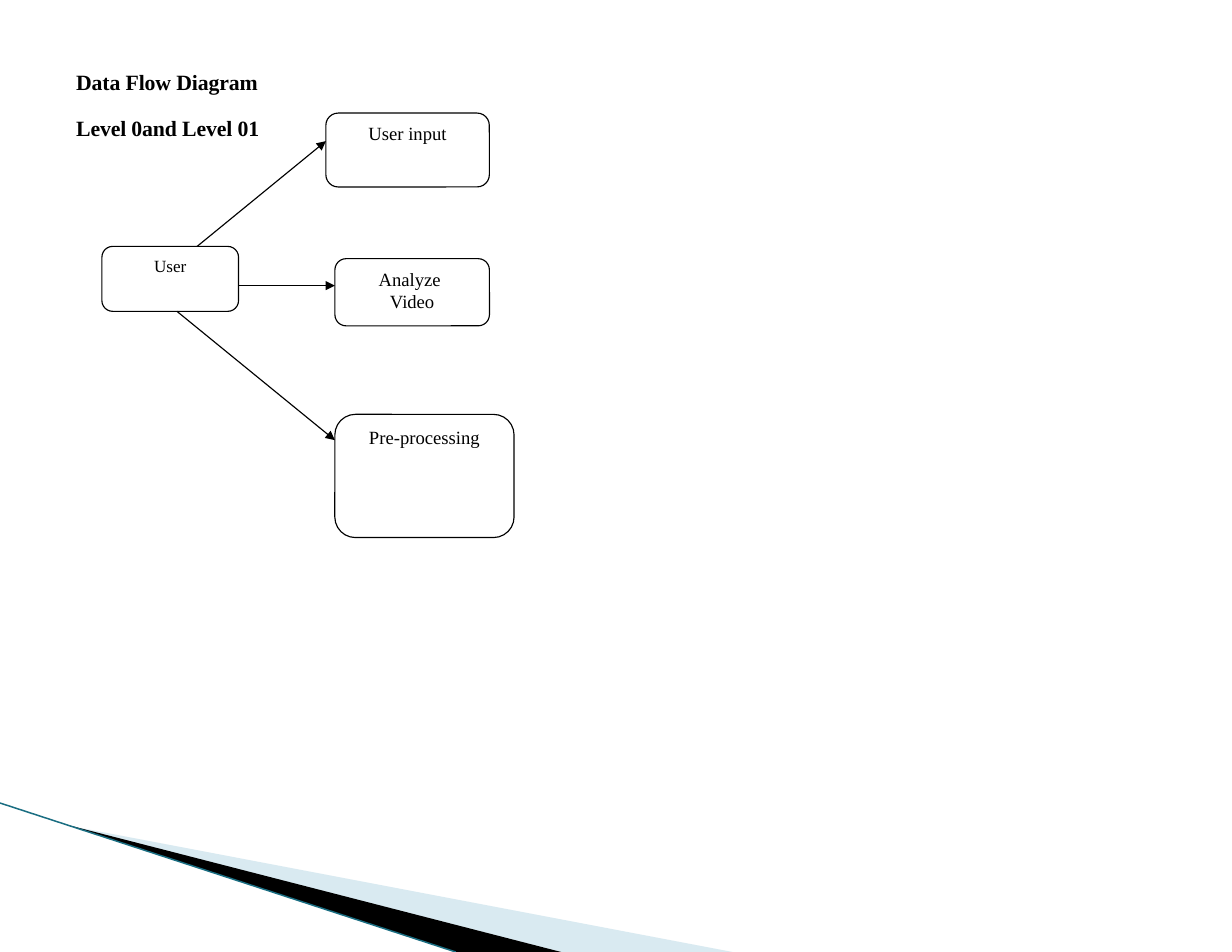
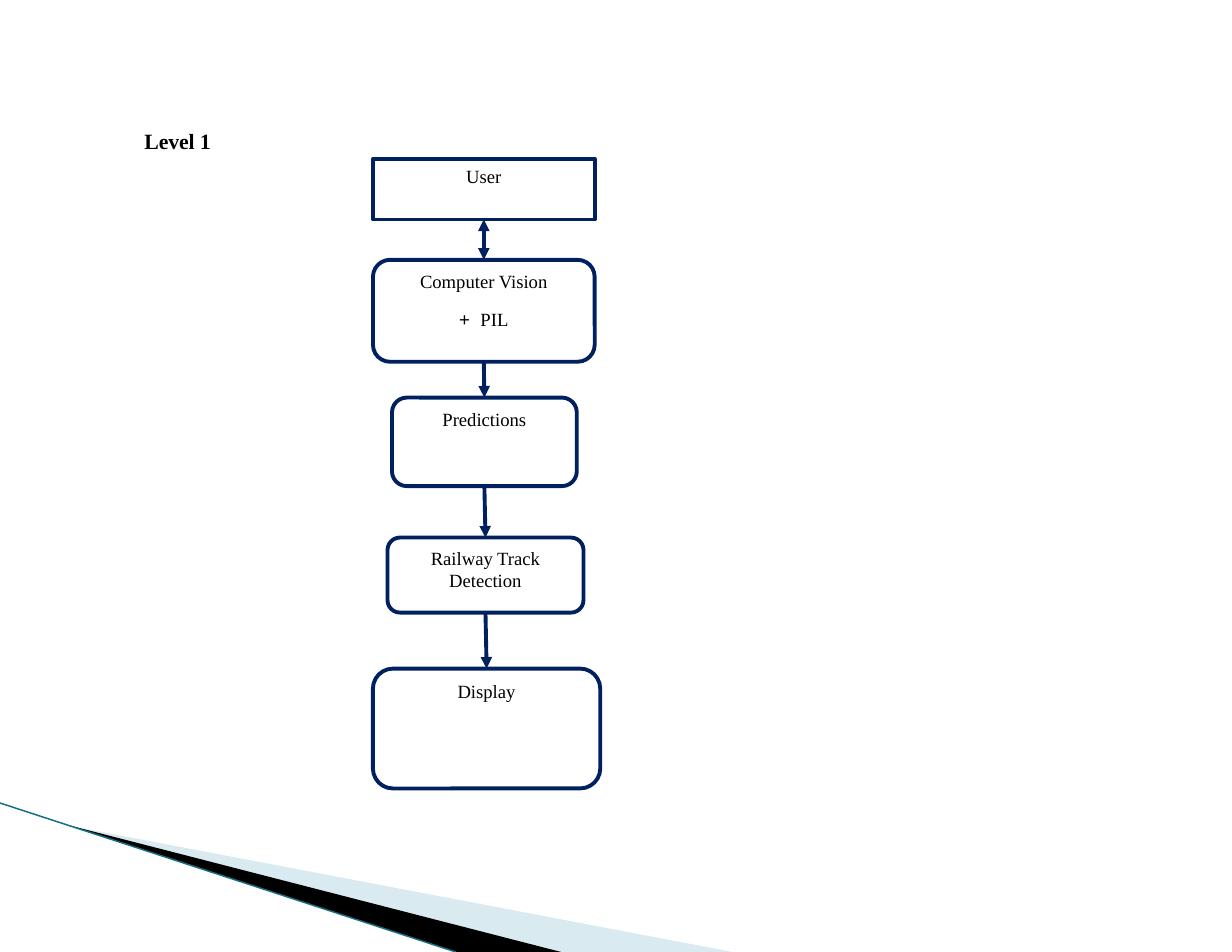
import pptx
import pptx.util
import pptx.dml.color
import pptx.enum.shapes
import pptx.enum.text
import pptx.oxml
import pptx.oxml.ns

Inches = pptx.util.Inches
Pt = pptx.util.Pt
RGBColor = pptx.dml.color.RGBColor
SHAPE = pptx.enum.shapes.MSO_SHAPE
ALIGN = pptx.enum.text.PP_ALIGN
qn = pptx.oxml.ns.qn

BLACK = RGBColor(0x00, 0x00, 0x00)
WHITE = RGBColor(0xFF, 0xFF, 0xFF)
NAVY = RGBColor(0x00, 0x20, 0x60)
PALE_BLUE = RGBColor(0xA0, 0xCB, 0xDC)
TEAL = RGBColor(0x1A, 0x6E, 0x82)
FONT = "Times New Roman"
BOTTOM, TOP = 2, 0


def add_text(p, text, size=12, bold=False, font=FONT, color=BLACK, spacing=0):
    r = p.add_run()
    r.text = text
    r.font.name = font
    r.font.size = Pt(size)
    r.font.bold = bold
    r.font.color.rgb = color
    if spacing:
        r._r.get_or_add_rPr().set("spc", str(round(spacing * 100)))
    return r


def sub_element(parent, tag, **attributes):
    element = parent.makeelement(qn(tag), attributes)
    parent.append(element)
    return element


class Deck:
    def __init__(self, prs):
        self.prs = prs
        self.layout = prs.slide_layouts[5]
        for sp in list(self.layout.placeholders)[1:]:
            sp._element.getparent().remove(sp._element)
        self.s = None
        self.line_color = BLACK
        self.line_width = 0.75
        self.space_after = 0

    def new_slide(self, line_color, line_width, space_after=0):
        self.s = self.prs.slides.add_slide(self.layout)
        self.line_color = line_color
        self.line_width = line_width
        self.space_after = space_after

    def title(self, lines, left, top, width, height):
        sp = self.s.shapes.title
        sp.left, sp.top, sp.width, sp.height = map(
            Inches, (left, top, width, height))
        tf = sp.text_frame
        tf.word_wrap = True
        tf.auto_size = pptx.enum.text.MSO_AUTO_SIZE.NONE
        tf.vertical_anchor = pptx.enum.text.MSO_ANCHOR.TOP
        tf.margin_left = tf.margin_right = tf.margin_top = tf.margin_bottom = 0
        for i, line in enumerate(lines):
            p = tf.add_paragraph() if i else tf.paragraphs[0]
            p.alignment = ALIGN.LEFT
            if i:
                p.space_before = Pt(12.8)
            add_text(p, line, size=14, bold=True, spacing=-0.1)

    def box(self, lines, left, top, width, height,
            shape=SHAPE.ROUNDED_RECTANGLE, size=12):
        sp = self.s.shapes.add_shape(
            shape, *map(Inches, (left, top, width, height)))
        sp.shadow.inherit = False
        sp.fill.solid()
        sp.fill.fore_color.rgb = WHITE
        sp.line.color.rgb = self.line_color
        sp.line.width = Pt(self.line_width)
        tf = sp.text_frame
        tf.word_wrap = True
        tf.vertical_anchor = pptx.enum.text.MSO_ANCHOR.TOP
        for i, runs in enumerate(lines):
            p = tf.add_paragraph() if i else tf.paragraphs[0]
            p.alignment = ALIGN.CENTER
            p.space_after = Pt(self.space_after)
            for text, style in runs:
                add_text(p, text, size=size, **style)
        return sp

    def line(self, x1, y1, x2, y2, color=None, width=None, ends=()):
        cxn = self.s.shapes.add_connector(
            pptx.enum.shapes.MSO_CONNECTOR.STRAIGHT,
            *map(Inches, (x1, y1, x2, y2)))
        cxn.line.color.rgb = color or self.line_color
        cxn.line.width = Pt(width or self.line_width)
        ln = cxn.line._get_or_add_ln()
        for end in ends:
            sub_element(ln, "a:" + end, type="triangle")
        sub_element(cxn._element.spPr, "a:effectLst")
        return cxn

    def join(self, upper, lower, ends=("tailEnd",)):
        cxn = self.line(0, 0, 1, 1, ends=ends)
        cxn.begin_connect(upper, BOTTOM)
        cxn.end_connect(lower, TOP)

    def wedge(self, points, color, alpha=None):
        points = [(Inches(x), Inches(y)) for x, y in points]
        fb = self.s.shapes.build_freeform(*points[0], scale=1.0)
        fb.add_line_segments(points[1:], close=True)
        sp = fb.convert_to_shape()
        sp.shadow.inherit = False
        sp.fill.solid()
        sp.fill.fore_color.rgb = color
        sp.line.fill.background()
        if alpha:
            clr = sp._element.spPr.find(qn("a:solidFill"))[0]
            sub_element(clr, "a:alpha", val=str(alpha * 1000))
        return sp

    def corner_bands(self):
        bands = [
            self.wedge([(0.6, 7.37), (6.54, 8.5), (5.01, 8.5)], PALE_BLUE, 40),
            self.wedge([(0.58, 7.36), (5.01, 8.5), (4.07, 8.5)], BLACK),
            self.line(0, 7.17, 4.07, 8.5, color=TEAL, width=0.95),
        ]
        for i, sp in enumerate(bands):
            self.layout.shapes._spTree.insert(2 + i, sp._element)


def plain(*lines):
    return [[(line, {})] for line in lines]


def level_0_slide(deck):
    deck.new_slide(BLACK, 0.75)
    deck.corner_bands()
    deck.title(["Data Flow Diagram", "Level 0and Level 01"],
               0.68, 0.61, 2.18, 1.43)
    deck.box(plain("Analyze ", "Video"), 2.99, 2.31, 1.38, 0.6)
    deck.box(plain("User input"), 2.91, 1.01, 1.46, 0.66)
    deck.box(plain("User"), 0.91, 2.2, 1.22, 0.58, size=11)
    deck.box(plain("Pre-processing"), 2.99, 3.7, 1.6, 1.1)
    for arrow in ((1.76, 2.2, 2.91, 1.26),
                  (2.13, 2.55, 2.99, 2.55),
                  (1.58, 2.78, 2.99, 3.93)):
        deck.line(*arrow, ends=("tailEnd",))


def level_1_slide(deck):
    deck.new_slide(NAVY, 2.5, space_after=10)
    deck.title(["Level 1"], 1.29, 1.14, 0.81, 0.25)
    user = deck.box(plain("User"), 3.33, 1.42, 1.98, 0.54,
                    shape=SHAPE.RECTANGLE)
    vision = deck.box(
        plain("Computer Vision")
        + [[("+ ", {"font": "Arial", "spacing": 1.7}), ("PIL", {})]],
        3.33, 2.32, 1.98, 0.91)
    predictions = deck.box(plain("Predictions"), 3.5, 3.55, 1.65, 0.79)
    detection = deck.box(plain("Railway Track Detection"),
                         3.46, 4.8, 1.75, 0.67)
    display = deck.box(plain("Display"), 3.33, 5.97, 2.03, 1.07)
    deck.join(user, vision, ends=("headEnd", "tailEnd"))
    steps = [vision, predictions, detection, display]
    for upper, lower in zip(steps, steps[1:]):
        deck.join(upper, lower)


def main():
    prs = pptx.Presentation()
    prs.slide_width = Inches(11)
    prs.slide_height = Inches(8.5)
    deck = Deck(prs)
    level_0_slide(deck)
    level_1_slide(deck)
    prs.save("out.pptx")


if __name__ == "__main__":
    main()
